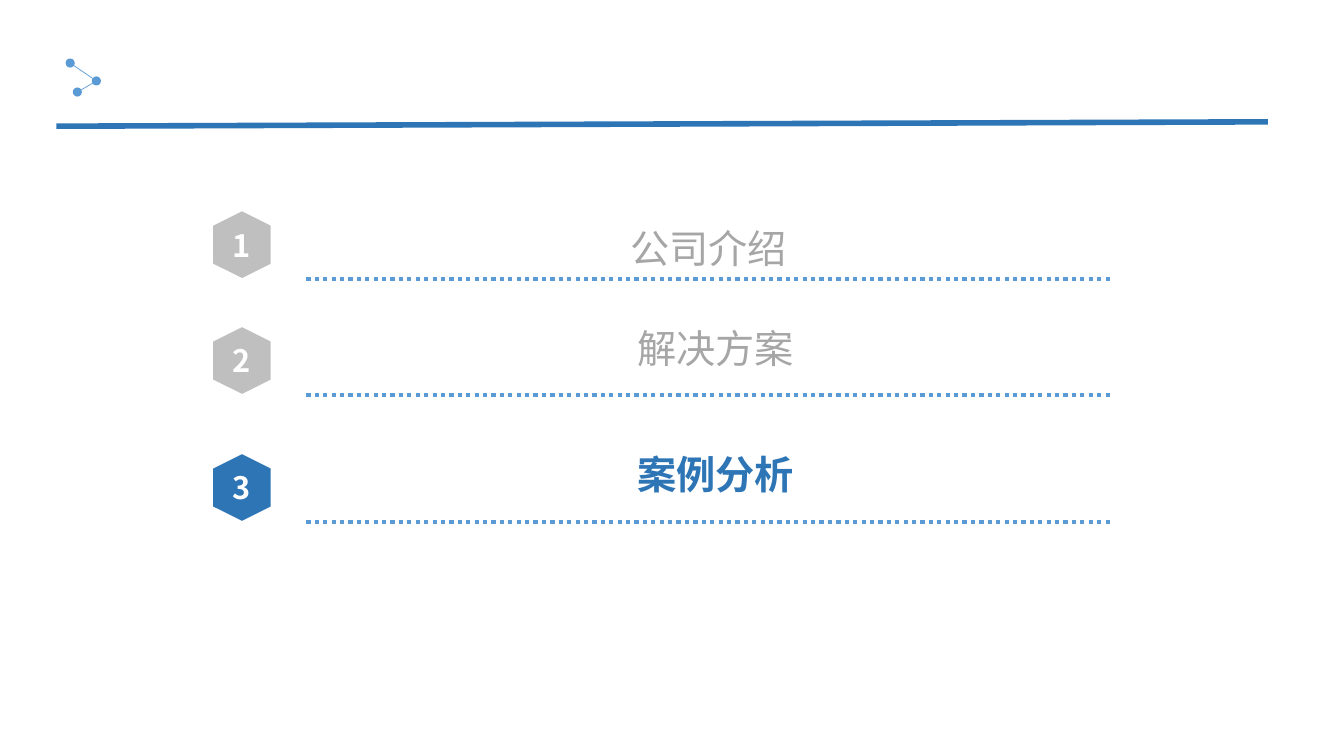
import pptx
import pptx.util
import pptx.dml.color
import pptx.enum.dml
import pptx.enum.shapes
import pptx.enum.text
import pptx.oxml.ns
import pptx.oxml.xmlchemy
from pptx.util import Cm

FONT = "Noto Sans CJK SC"
BLUE, LIGHT_BLUE = "2E75B6", "5B9BD5"
GREY, PALE_GREY, WHITE = "A6A6A6", "BFBFBF", "FFFFFF"

CHAPTERS = [
    {"title": "公司介绍", "rule_y": 7.04, "title_at": (8.86, 5.54), "current": False},
    {"title": "解决方案", "rule_y": 9.96, "title_at": (9.04, 8.05), "current": False},
    {"title": "案例分析", "rule_y": 13.16, "title_at": (9.04, 11.23), "current": True},
]
RULE_LEFT, RULE_RIGHT = 7.72, 27.97
TITLE_WIDTH, TITLE_HEIGHT = 17.98, 1.45
BADGE_LEFT, BADGE_WIDTH, BADGE_HEIGHT, BADGE_RISE = 5.26, 1.68, 1.45, 1.6

HEADER_RULE = ((1.42, 3.18), (31.95, 3.07))
EMBLEM_DOTS = [(1.77, 1.59), (2.43, 2.04), (1.95, 2.32)]
DOT_SIZE = 0.23


def paint(color_format, color):
    color_format.rgb = pptx.dml.color.RGBColor.from_string(color)


def add_rule(slide, start, end, color, width):
    rule = slide.shapes.add_connector(
        pptx.enum.shapes.MSO_CONNECTOR.STRAIGHT, *map(Cm, start + end))
    paint(rule.line.color, color)
    rule.line.width = pptx.util.Pt(width)
    properties = rule._element.spPr
    properties.append(pptx.oxml.xmlchemy.OxmlElement("a:effectLst"))
    return rule


def add_solid(slide, preset, left, top, width, height, color):
    solid = slide.shapes.add_shape(preset, Cm(left), Cm(top), Cm(width), Cm(height))
    solid.shadow.inherit = False
    solid.fill.solid()
    paint(solid.fill.fore_color, color)
    solid.line.fill.background()
    return solid


def write(frame, text, size, color, bold):
    frame.text = text
    paragraph = frame.paragraphs[0]
    paragraph.alignment = pptx.enum.text.PP_ALIGN.CENTER
    font = paragraph.runs[0].font
    font.name, font.size, font.bold = FONT, pptx.util.Pt(size), bold
    paint(font.color, color)
    east_asian = pptx.oxml.xmlchemy.OxmlElement("a:ea")
    east_asian.set("typeface", FONT)
    font._element.find(pptx.oxml.ns.qn("a:latin")).addnext(east_asian)


def add_header(slide):
    add_rule(slide, *HEADER_RULE, BLUE, 4)
    for x, y in EMBLEM_DOTS:
        add_solid(slide, pptx.enum.shapes.MSO_SHAPE.OVAL, x - DOT_SIZE / 2,
                  y - DOT_SIZE / 2, DOT_SIZE, DOT_SIZE, LIGHT_BLUE)
    for start, end in zip(EMBLEM_DOTS, EMBLEM_DOTS[1:]):
        add_rule(slide, start, end, LIGHT_BLUE, 0.5)


def add_chapter(slide, number, chapter):
    rule_y, current = chapter["rule_y"], chapter["current"]
    rule = add_rule(slide, (RULE_LEFT, rule_y), (RULE_RIGHT, rule_y), LIGHT_BLUE, 3)
    rule.line.dash_style = pptx.enum.dml.MSO_LINE.ROUND_DOT

    badge = add_solid(slide, pptx.enum.shapes.MSO_SHAPE.HEXAGON, BADGE_LEFT,
                      rule_y - BADGE_RISE, BADGE_WIDTH, BADGE_HEIGHT,
                      BLUE if current else PALE_GREY)
    badge.rotation = 270
    badge.text_frame.vertical_anchor = pptx.enum.text.MSO_ANCHOR.MIDDLE
    badge.text_frame._txBody.bodyPr.set("vert", "eaVert")
    write(badge.text_frame, str(number), 22, WHITE, True)

    left, top = chapter["title_at"]
    title = slide.shapes.add_textbox(Cm(left), Cm(top), Cm(TITLE_WIDTH), Cm(TITLE_HEIGHT))
    title.text_frame.word_wrap = True
    title.text_frame.auto_size = pptx.enum.text.MSO_AUTO_SIZE.SHAPE_TO_FIT_TEXT
    write(title.text_frame, chapter["title"], 28, BLUE if current else GREY, current)


def main():
    deck = pptx.Presentation()
    deck.slide_width, deck.slide_height = Cm(33.87), Cm(19.05)
    slide = deck.slides.add_slide(deck.slide_layouts[6])
    add_header(slide)
    for number, chapter in enumerate(CHAPTERS, 1):
        add_chapter(slide, number, chapter)
    deck.save("out.pptx")


if __name__ == "__main__":
    main()
